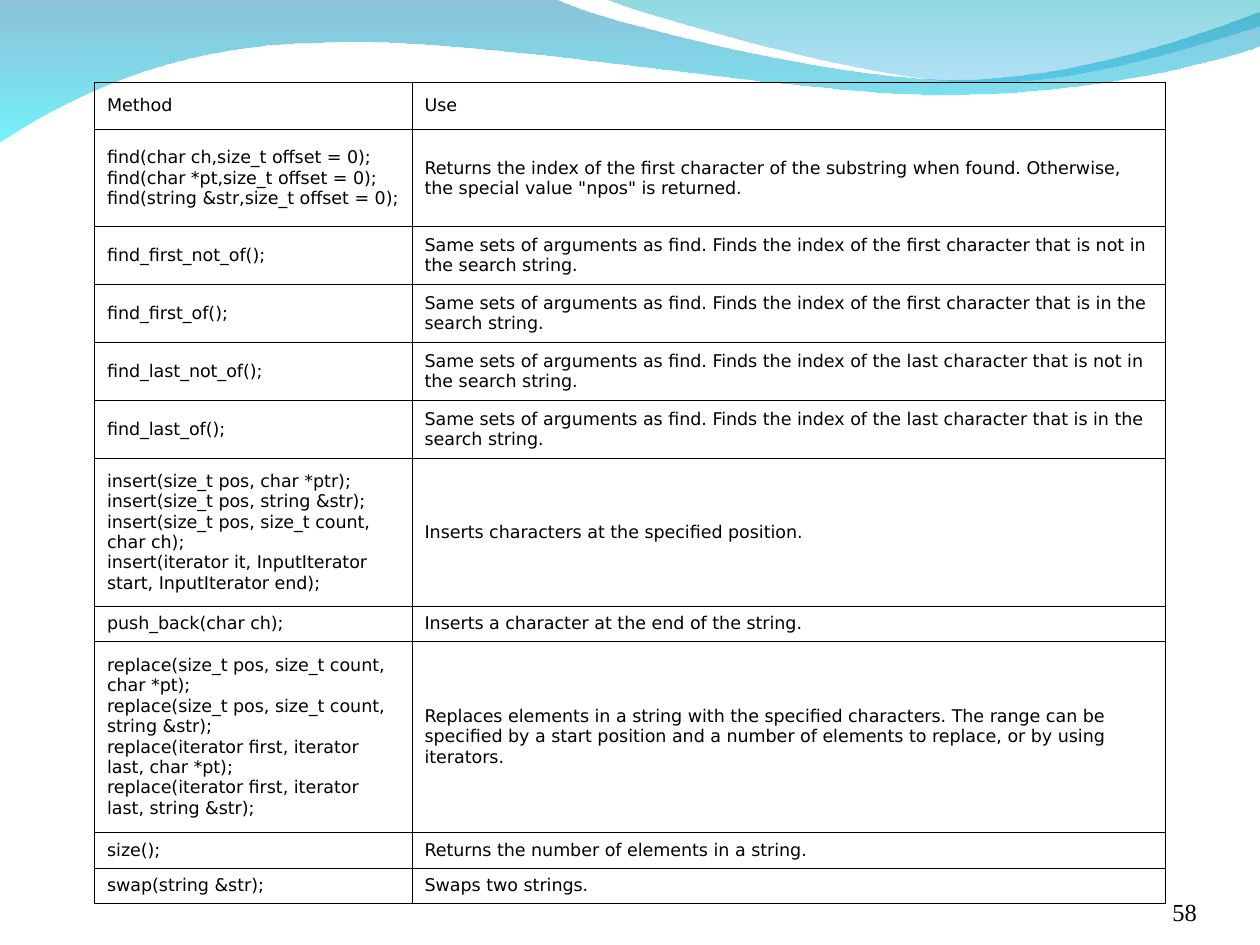
import pptx
import pptx.dml.color
import pptx.enum.text
import pptx.oxml.ns
import pptx.util
from lxml import etree

COLORS = {
    "ink": "000000",
    "wave_blue": "0079AF",
    "wave_cyan": "00EBF8",
    "crest_teal": "00ADB6",
    "crest_blue": "009BE5",
}
BORDER_WIDTH = pptx.util.Pt(0.45)

METHODS = [
    (0.38, "Method", "Use"),
    (0.77, "find(char ch,size_t offset = 0);\n"
           "find(char *pt,size_t offset = 0);\n"
           "find(string &str,size_t offset = 0);",
     "Returns the index of the first character of the substring when found. "
     'Otherwise, the special value "npos" is returned.'),
    (0.46, "find_first_not_of();",
     "Same sets of arguments as find. Finds the index of the first character "
     "that is not in the search string."),
    (0.46, "find_first_of();",
     "Same sets of arguments as find. Finds the index of the first character "
     "that is in the search string."),
    (0.46, "find_last_not_of();",
     "Same sets of arguments as find. Finds the index of the last character "
     "that is not in the search string."),
    (0.46, "find_last_of();",
     "Same sets of arguments as find. Finds the index of the last character "
     "that is in the search string."),
    (1.17, "insert(size_t pos, char *ptr);\n"
           "insert(size_t pos, string &str);\n"
           "insert(size_t pos, size_t count, char ch);\n"
           "insert(iterator it, InputIterator start, InputIterator end);",
     "Inserts characters at the specified position."),
    (0.28, "push_back(char ch);", "Inserts a character at the end of the string."),
    (1.52, "replace(size_t pos, size_t count, char *pt);\n"
           "replace(size_t pos, size_t count, string &str);\n"
           "replace(iterator first, iterator last, char *pt);\n"
           "replace(iterator first, iterator last, string &str);",
     "Replaces elements in a string with the specified characters. The range can be "
     "specified by a start position and a number of elements to replace, or by using "
     "iterators."),
    (0.28, "size();", "Returns the number of elements in a string."),
    (0.28, "swap(string &str);", "Swaps two strings."),
]

# Each wave: start, segments (one point = line, three = curve), (color, opacity %) stops.
WAVES = [
    ((0, -0.01),
     [[(4.4, -0.01)],
      [(4.76, 0.17), (6.64, 0.63), (7.58, 0.63)],
      [(8.53, 0.63), (9.58, 0.26), (10, 0.09)],
      [(10.01, 0.36)],
      [(9.83, 0.44), (8.7, 0.76), (7.46, 0.75)],
      [(6.22, 0.75), (3.82, 0.28), (2.57, 0.34)],
      [(1.29, 0.35), (0.46, 0.83), (-0.01, 1.13)]],
     [("wave_blue", 45), ("wave_cyan", 55)]),
    ((4.79, -0.01),
     [[(5.09, 0.11), (6.82, 0.62), (7.69, 0.65)],
      [(8.56, 0.69), (9.61, 0.32), (10, 0.21)],
      [(10, 0)]],
     [("crest_teal", 45), ("crest_blue", 30)]),
]


def write(frame, text, font, size, align, anchor):
    frame.word_wrap = True
    frame.vertical_anchor = anchor
    paragraph = frame.paragraphs[0]
    paragraph.text = text
    paragraph.alignment = align
    paragraph.font.name = font
    paragraph.font.size = pptx.util.Pt(size)
    paragraph.font.color.rgb = pptx.dml.color.RGBColor.from_string(COLORS["ink"])


def draw_outline(shapes, start, segments):
    """Build a freeform through all points, then join each triple of lines into a curve."""
    builder = shapes.build_freeform(*start, scale=pptx.util.Inches(1) / 100)
    builder.add_line_segments([point for segment in segments for point in segment])
    shape = builder.convert_to_shape()
    lines = iter(list(shape.element.iter(qn("a:lnTo"))))
    for segment in segments:
        parts = [next(lines) for _ in segment]
        if len(parts) == 3:
            curve = etree.Element(qn("a:cubicBezTo"))
            parts[0].addprevious(curve)
            for part in parts:
                curve.append(part[0])
                part.getparent().remove(part)
    return shape


qn = pptx.oxml.ns.qn
align = pptx.enum.text.PP_ALIGN
anchor = pptx.enum.text.MSO_ANCHOR

deck = pptx.Presentation()
deck.slide_width = pptx.util.Inches(10)
deck.slide_height = pptx.util.Inches(7.5)
slide = deck.slides.add_slide(deck.slide_layouts[6])

for start, segments, stops in WAVES:
    hundredths = [[(x * 100, y * 100) for x, y in segment]
                  for segment in [[start], *segments]]
    wave = draw_outline(slide.shapes, hundredths[0][0], hundredths[1:])
    wave.shadow.inherit = False
    wave.line.fill.background()
    wave.fill.gradient()
    wave.fill.gradient_angle = 270
    for stop, (color, _) in zip(wave.fill.gradient_stops, stops):
        stop.color.rgb = pptx.dml.color.RGBColor.from_string(COLORS[color])
    for tint, (_, opacity) in zip(wave.element.spPr.iter(qn("a:srgbClr")), stops):
        etree.SubElement(tint, qn("a:alpha"), val=str(opacity * 1000))

page_number = slide.shapes.add_textbox(
    *(pptx.util.Inches(n) for n in (8.67, 6.95, 0.83, 0.4))).text_frame
page_number.margin_left = page_number.margin_right = 0
page_number.margin_top = page_number.margin_bottom = 0
write(page_number, "58", font="Times New Roman", size=14,
      align=align.RIGHT, anchor=anchor.BOTTOM)

methods = slide.shapes.add_table(
    len(METHODS), 2, *(pptx.util.Inches(n) for n in (0.75, 0.65, 8.5, 6.52))).table
methods.first_row = methods.horz_banding = False
for column, width in zip(methods.columns, (2.52, 5.98)):
    column.width = pptx.util.Inches(width)

for row, (height, *entries) in zip(methods.rows, METHODS):
    row.height = pptx.util.Inches(height)
    for cell, entry in zip(row.cells, entries):
        write(cell.text_frame, entry, font="DejaVu Sans", size=10,
              align=align.LEFT, anchor=anchor.MIDDLE)
        cell.vertical_anchor = anchor.MIDDLE
        properties = cell._tc.get_or_add_tcPr()
        for side in ("a:lnL", "a:lnR", "a:lnT", "a:lnB"):
            border = etree.SubElement(properties, qn(side), w=str(BORDER_WIDTH))
            paint = etree.SubElement(border, qn("a:solidFill"))
            etree.SubElement(paint, qn("a:srgbClr"), val=COLORS["ink"])
        cell.fill.background()

deck.save("out.pptx")
